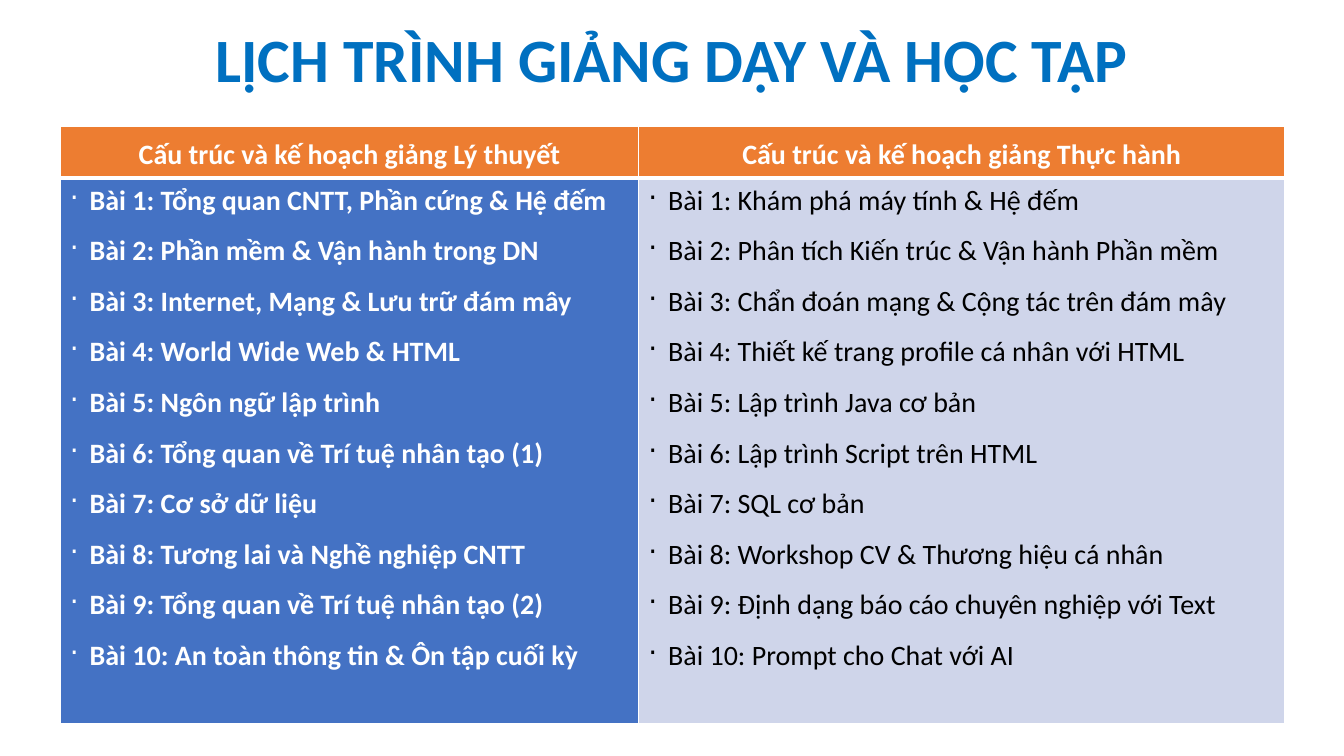
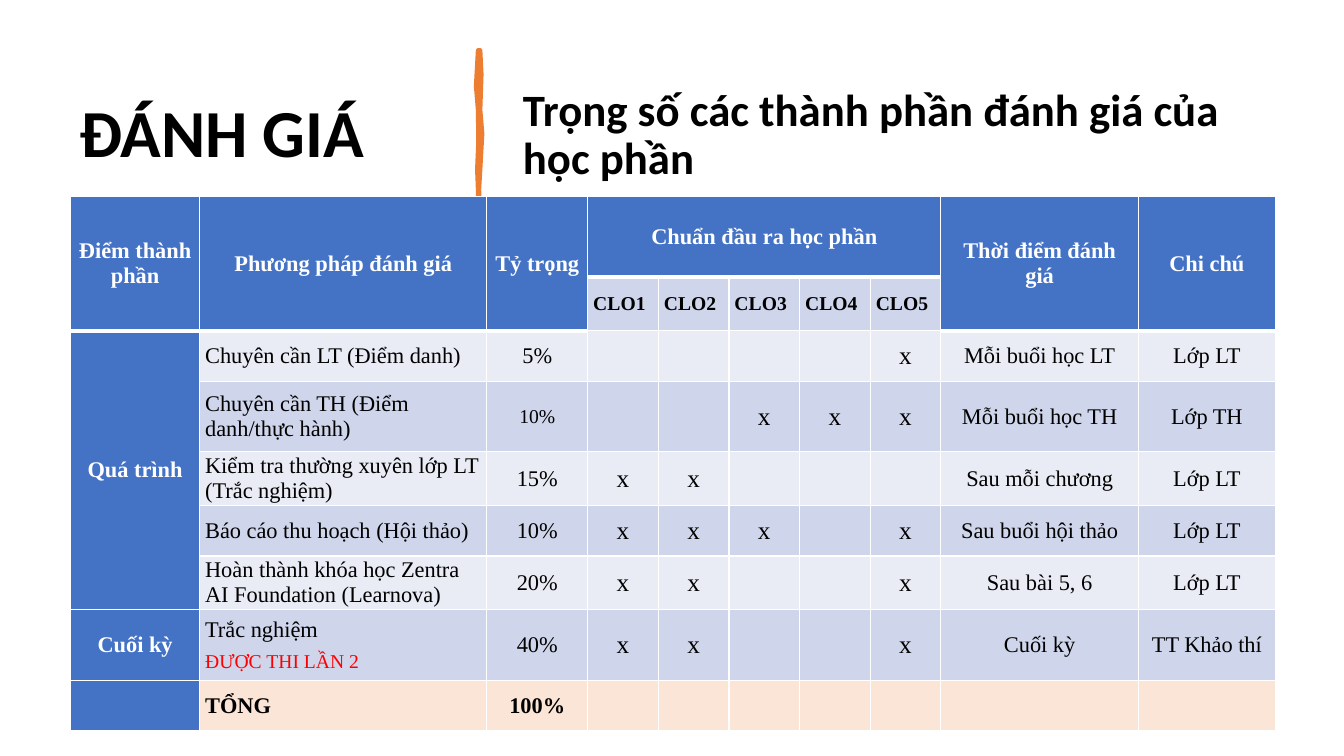
from lxml.etree import SubElement
from pptx import Presentation
from pptx.dml.color import RGBColor
from pptx.enum.text import MSO_ANCHOR as ANCHOR, PP_ALIGN as ALIGN
from pptx.oxml import parse_xml
from pptx.oxml.ns import nsdecls, qn
from pptx.util import Cm, Pt

WHITE = RGBColor(0xFF, 0xFF, 0xFF)
BLACK = RGBColor(0x00, 0x00, 0x00)
RED = RGBColor(0xFF, 0x00, 0x00)
TITLE_BLUE = RGBColor(0x00, 0x70, 0xC0)
BLUE = RGBColor(0x44, 0x72, 0xC4)
ORANGE = RGBColor(0xED, 0x7D, 0x31)
PEACH = RGBColor(0xFB, 0xE5, 0xD6)
BAND_DARK = RGBColor(0xCF, 0xD5, 0xEA)
BAND_LIGHT = RGBColor(0xE9, 0xEB, 0xF5)
SANS, SERIF = "Calibri", "Times New Roman"
THIN, THICK = Pt(1), Pt(3)

THEORY = [
    "Bài 1: Tổng quan CNTT, Phần cứng & Hệ đếm",
    "Bài 2: Phần mềm & Vận hành trong DN",
    "Bài 3: Internet, Mạng & Lưu trữ đám mây",
    "Bài 4: World Wide Web & HTML",
    "Bài 5: Ngôn ngữ lập trình",
    "Bài 6: Tổng quan về Trí tuệ nhân tạo (1)",
    "Bài 7: Cơ sở dữ liệu",
    "Bài 8: Tương lai và Nghề nghiệp CNTT",
    "Bài 9: Tổng quan về Trí tuệ nhân tạo (2)",
    "Bài 10: An toàn thông tin & Ôn tập cuối kỳ",
]
PRACTICE = [
    "Bài 1: Khám phá máy tính & Hệ đếm",
    "Bài 2: Phân tích Kiến trúc & Vận hành Phần mềm",
    "Bài 3: Chẩn đoán mạng & Cộng tác trên đám mây",
    "Bài 4: Thiết kế trang profile cá nhân với HTML",
    "Bài 5: Lập trình Java cơ bản",
    "Bài 6: Lập trình Script trên HTML",
    "Bài 7: SQL cơ bản",
    "Bài 8: Workshop CV & Thương hiệu cá nhân",
    "Bài 9: Định dạng báo cáo chuyên nghiệp với Text",
    "Bài 10: Prompt cho Chat với AI",
]
PLANS = [
    ("Cấu trúc và kế hoạch giảng Lý thuyết", THEORY, BLUE, WHITE, True),
    ("Cấu trúc và kế hoạch giảng Thực hành", PRACTICE, BAND_DARK, BLACK, False),
]

HEADINGS = {0: "Điểm thành phần", 1: "Phương pháp đánh giá", 2: "Tỷ trọng",
            3: "Chuẩn đầu ra học phần", 8: "Thời điểm đánh giá", 9: "Chi chú"}
OUTCOMES = range(3, 8)
ASSESSMENTS = [
    ("Chuyên cần LT (Điểm danh)", "5%", [5], "Mỗi buổi học LT", "Lớp LT"),
    ("Chuyên cần TH (Điểm danh/thực hành)", "10%", [3, 4, 5],
     "Mỗi buổi học TH", "Lớp TH"),
    ("Kiểm tra thường xuyên lớp LT (Trắc nghiệm)", "15%", [1, 2],
     "Sau mỗi chương", "Lớp LT"),
    ("Báo cáo thu hoạch (Hội thảo)", "10%", [1, 2, 3, 5],
     "Sau buổi hội thảo", "Lớp LT"),
    ("Hoàn thành khóa học Zentra AI Foundation (Learnova)", "20%", [1, 2, 5],
     "Sau bài 5, 6", "Lớp LT"),
    ("Trắc nghiệm", "40%", [1, 2, 5], "Cuối kỳ", "TT Khảo thí"),
]
STROKE = [(0.1, 0), (0.13, 0.6), (0.1, 1.5), (0.15, 2.1), (0.1, 3), (0.07, 3.5),
          (0.1, 4.32), (0.05, 4.32), (0.05, 3.5), (0.03, 3), (0.06, 2.3),
          (0.05, 1.5), (0, 0.9), (0.05, 0)]


def add_text(tf, text, size=16, color=BLACK, bold=False, font=SANS,
             align=ALIGN.LEFT, spacing=None, gap=0, bullet=None):
    """Add one formatted paragraph, filling the empty first one if there is one."""
    first = not tf.paragraphs[0].runs
    p = tf.paragraphs[0] if first else tf.add_paragraph()
    p.alignment = align
    p.space_before, p.space_after = Pt(0 if first else gap), Pt(gap)
    if spacing:
        p.line_spacing = spacing
    if bullet:
        pPr = p._p.get_or_add_pPr()
        pPr.set("marL", str(Cm(0.56)))
        pPr.set("indent", str(-Cm(0.5)))
        SubElement(pPr, qn("a:buChar")).set("char", bullet)
    r = p.add_run()
    r.text = text
    r.font.name, r.font.size, r.font.bold = font, Pt(size), bold
    r.font.color.rgb = color


def add_heading(slide, box, text, **fmt):
    """Place a bold, vertically centred heading in a box."""
    tf = slide.shapes.add_textbox(*box).text_frame
    tf.word_wrap = True
    tf.vertical_anchor = ANCHOR.MIDDLE
    add_text(tf, text, bold=True, spacing=0.9, **fmt)


def add_grid(slide, left, top, widths, heights):
    """Add a table with the given column widths and row heights in cm."""
    frame = slide.shapes.add_table(len(heights), len(widths), left, top,
                                   Cm(sum(widths)), Cm(sum(heights)))
    table = frame.table
    table.first_row = table.horz_banding = False
    for column, width in zip(table.columns, widths):
        column.width = Cm(width)
    for row, height in zip(table.rows, heights):
        row.height = Cm(height)
    return table


def paint_cell(cell, color, margin, anchor=ANCHOR.MIDDLE, top=THIN, bottom=THIN):
    """Set the fill, margins, anchor and white borders of a cell."""
    cell.fill.solid()
    cell.fill.fore_color.rgb = color
    cell.margin_left = cell.margin_right = margin
    cell.margin_top = cell.margin_bottom = 0
    cell.vertical_anchor = anchor
    edges = {"lnL": THIN, "lnR": THIN, "lnT": top, "lnB": bottom}
    for i, (tag, width) in enumerate(edges.items()):
        line = parse_xml(f'<a:{tag} {nsdecls("a")} w="{width}"><a:solidFill>'
                         f'<a:srgbClr val="{WHITE}"/></a:solidFill></a:{tag}>')
        cell._tc.get_or_add_tcPr().insert(i, line)


def add_plan_table(slide, left, top):
    """Place the two-column lesson plan."""
    table = add_grid(slide, left, top, [14.58, 16.28], [1.31, 13.74])
    for c, (heading, lessons, fill, color, bold) in enumerate(PLANS):
        head, body = table.cell(0, c), table.cell(1, c)
        paint_cell(head, ORANGE, Cm(0.18), bottom=THICK)
        paint_cell(body, fill, Cm(0.18), ANCHOR.TOP, top=THICK)
        add_text(head.text_frame, heading, 20, WHITE, True,
                 align=ALIGN.CENTER, spacing=1.15, gap=4)
        for lesson in lessons:
            add_text(body.text_frame, lesson, 20, color, bold,
                     spacing=1.15, gap=4, bullet="·")


def add_stroke(slide, left, top):
    """Draw the upright brush stroke between the headings."""
    points = [(left + Cm(x), top + Cm(y)) for x, y in STROKE]
    builder = slide.shapes.build_freeform(*points[0])
    builder.add_line_segments(points[1:])
    sp = builder.convert_to_shape()
    sp.shadow.inherit = False
    sp.fill.solid()
    sp.fill.fore_color.rgb = sp.line.color.rgb = ORANGE
    sp.line.width = Pt(3.25)


def paint_assessment(table):
    """Colour the assessment cells by row and column."""
    last = len(table.rows) - 1
    for r in range(last + 1):
        for c in range(len(table.columns)):
            outcome = c in OUTCOMES
            if c == 0 or r == 0 or (r == 1 and not outcome):
                color = BLUE
            elif r == last:
                color = PEACH
            else:
                color = BAND_DARK if r % 2 else BAND_LIGHT
            head_end = 0 if outcome else 1
            paint_cell(table.cell(r, c), color, Cm(0.14),
                       top=THICK if r == head_end + 1 else THIN,
                       bottom=THICK if r == head_end else THIN)


def add_assessment_table(slide, left, top):
    """Place the table of assessment weights."""
    widths = [3.25, 7.24, 2.54] + [1.78] * 5 + [4.98, 3.45]
    heights = [2.03, 1.27, 1.27, 1.78, 1.27, 1.27, 1.27, 1.78, 1.27]
    table = add_grid(slide, left, top, widths, heights)
    paint_assessment(table)
    for c in HEADINGS:
        end = (0, 7) if c == 3 else (1, c)
        table.cell(0, c).merge(table.cell(*end))
    table.cell(2, 0).merge(table.cell(6, 0))

    def put(r, c, text, align=ALIGN.CENTER, **fmt):
        """Write one line of serif text in a cell."""
        add_text(table.cell(r, c).text_frame, text, font=SERIF,
                 align=align, gap=3, **fmt)

    for c, heading in HEADINGS.items():
        put(0, c, heading, color=WHITE, bold=True)
    for i, c in enumerate(OUTCOMES, 1):
        put(1, c, f"CLO{i}", ALIGN.LEFT, size=14, bold=True)
    for r, group in ((2, "Quá trình"), (7, "Cuối kỳ")):
        put(r, 0, group, color=WHITE, bold=True)
    for r, (method, weight, marks, time, note) in enumerate(ASSESSMENTS, 2):
        put(r, 1, method, ALIGN.LEFT)
        put(r, 2, weight, size=14 if r == 3 else 16)
        for mark in marks:
            put(r, OUTCOMES[mark - 1], "x", size=18)
        put(r, 8, time)
        put(r, 9, note)
    put(7, 1, "ĐƯỢC THI LẦN 2", ALIGN.LEFT, size=14, color=RED)
    put(8, 1, "TỔNG", ALIGN.LEFT, bold=True)
    put(8, 2, "100%", bold=True)


def build_schedule(slide):
    """Build the teaching schedule slide."""
    add_heading(slide, (Cm(2.97), Cm(0.28), Cm(27.94), Cm(2.57)),
                "LỊCH TRÌNH GIẢNG DẠY VÀ HỌC TẬP",
                size=44, color=TITLE_BLUE, align=ALIGN.CENTER)
    add_plan_table(slide, Cm(1.52), Cm(3.18))


def build_assessment(slide):
    """Build the assessment slide."""
    top, height = Cm(1.4), Cm(4.06)
    add_heading(slide, (Cm(1.75), top, Cm(9.5), height), "ĐÁNH GIÁ", size=48)
    add_stroke(slide, Cm(12), Cm(1.27))
    add_heading(slide, (Cm(12.93), top, Cm(19.15), height),
                "Trọng số các thành phần đánh giá của học phần", size=32)
    add_assessment_table(slide, Cm(1.78), Cm(4.95))


def main():
    """Build and save the presentation."""
    prs = Presentation()
    prs.slide_width, prs.slide_height = Cm(33.87), Cm(19.05)
    for build in (build_schedule, build_assessment):
        build(prs.slides.add_slide(prs.slide_layouts[6]))
    prs.save("out.pptx")


if __name__ == "__main__":
    main()
